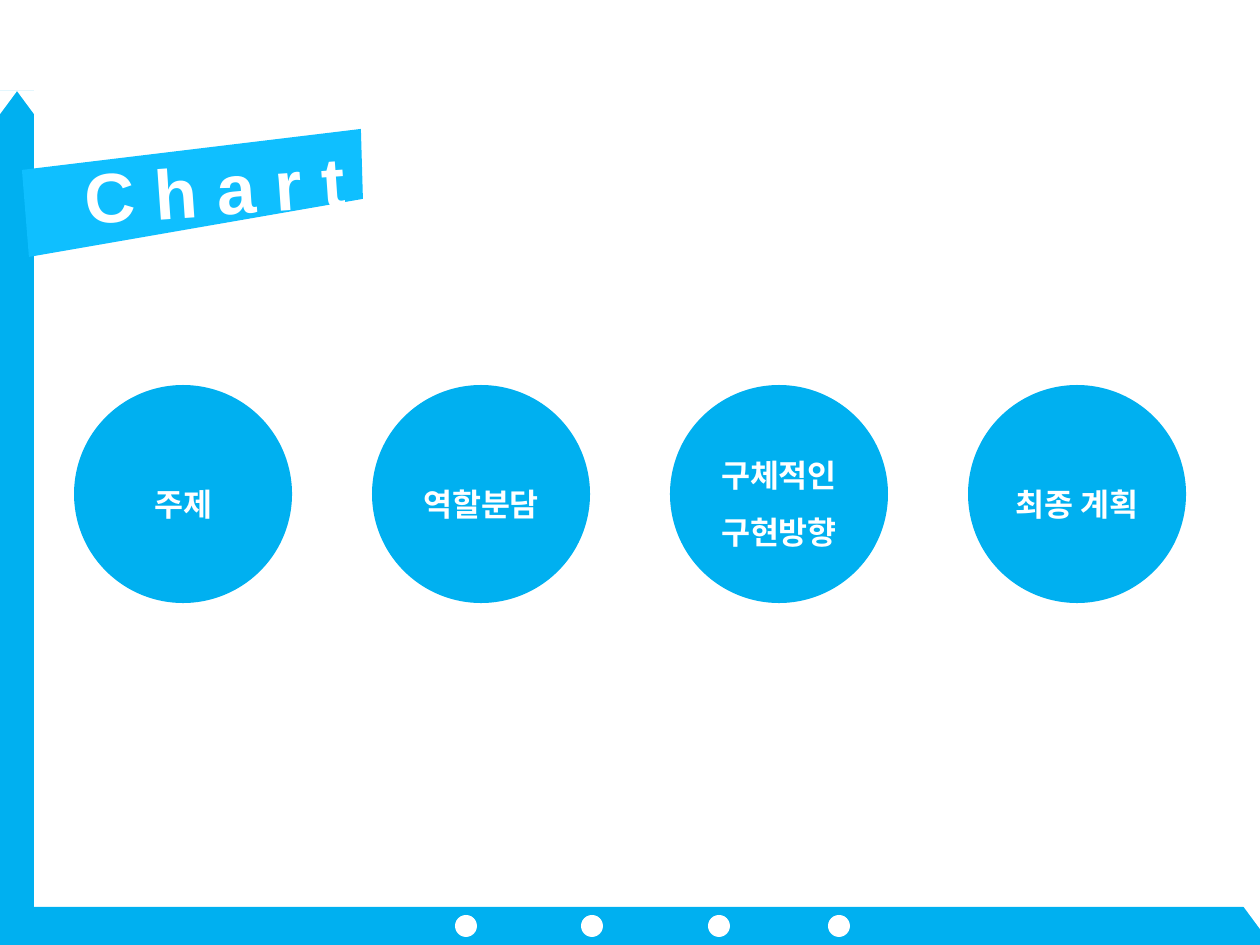
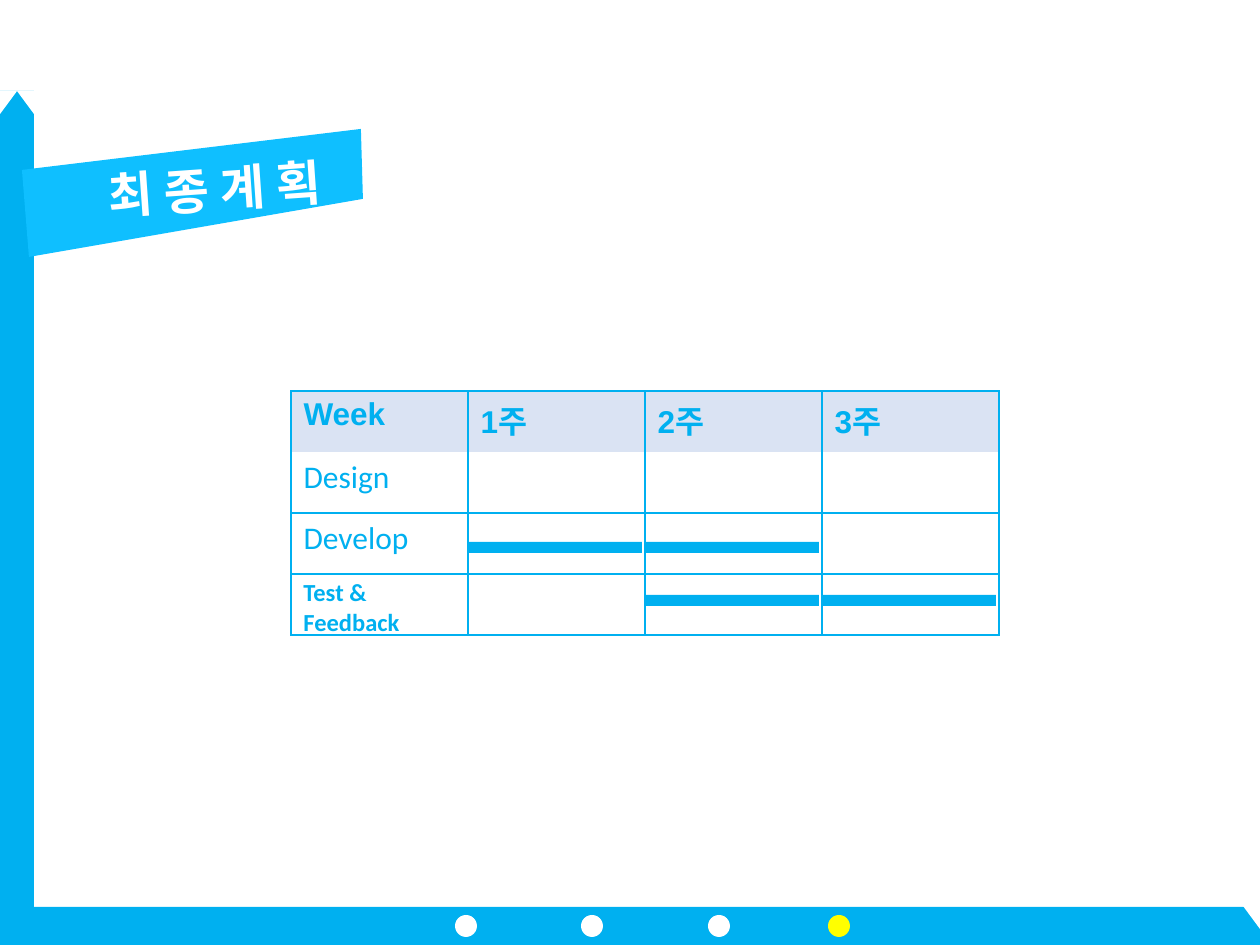
from collections import namedtuple
from dataclasses import dataclass

from pptx import Presentation
from pptx import util as u
from pptx.dml.color import RGBColor
from pptx.enum import shapes, text
from pptx.oxml import parse_xml
from pptx.oxml.ns import nsdecls

Box = namedtuple("Box", "x y w h")
KIND = shapes.MSO_SHAPE


@dataclass(frozen=True)
class Theme:
    blue: str = "00B0F0"
    flag: str = "0FBFFF"
    pale: str = "DAE3F3"
    white: str = "FFFFFF"
    mark: str = "FFFF00"
    head: str = "Arial"
    body: str = "Calibri"
    title: int = 40
    korean: int = 28
    label: int = 18
    small: int = 14


T = Theme()
PAGE = Box(0, 0, 1260, 945)
SIDE = Box(0, 91, 34, 854)
FOOT = Box(0, 907, 1260, 38)
FLAG = Box(22, 129, 341, 128)
STEPS = Box(74, 385, 1112, 218)
PLAN = Box(291, 391, 708, 244)


def px(n):
    return u.Emu(round(n * 914400 / 126))


def paint(shape, color):
    shape.shadow.inherit = False
    shape.fill.solid()
    shape.fill.fore_color.rgb = RGBColor.from_string(color)
    shape.line.fill.background()
    return shape


def draw(slide, kind, box, color):
    return paint(slide.shapes.add_shape(kind, *map(px, box)), color)


def write(par, words, size, color, face=T.head, bold=True):
    run = par.add_run()
    run.text = words
    font = run.font
    font.name, font.size, font.bold = face, u.Pt(size), bold
    font.color.rgb = RGBColor.from_string(color)


def notch(slide, x, y, flip=False):
    """Cut a bar's top corner with a white triangle."""
    cut = draw(slide, KIND.RIGHT_TRIANGLE, Box(x, y, 17, 23), T.white)
    cut.rotation = 180
    if flip:
        cut._element.spPr.xfrm.set("flipH", "1")


def frame(slide):
    draw(slide, KIND.RECTANGLE, SIDE, T.blue)
    notch(slide, SIDE.x + SIDE.w - 17, SIDE.y)
    notch(slide, SIDE.x, SIDE.y, flip=True)
    draw(slide, KIND.RECTANGLE, FOOT, T.blue)
    notch(slide, FOOT.x + FOOT.w - 17, FOOT.y - 1)


def banner(slide, box, words, size):
    """Slanted flag with a tilted title."""
    x, y, w, h = box
    pen = slide.shapes.build_freeform(x, y + 41, scale=px(1))
    pen.add_line_segments([(x + w - 2, y), (x + w, y + 70), (x + 7, y + h)])
    paint(pen.convert_to_shape(), T.flag)
    area = Box(x + 22, y + 20, w, 78)
    label = slide.shapes.add_textbox(*map(px, area))
    label.rotation = -4
    body = label.text_frame
    body.word_wrap = True
    body.vertical_anchor = text.MSO_ANCHOR.MIDDLE
    par = body.paragraphs[0]
    par.alignment = text.PP_ALIGN.CENTER
    write(par, words, size, T.white)


def dots(slide, box, active=None):
    for i, x in enumerate((455, 581, 708, 828)):
        color = T.mark if i == active else T.white
        draw(slide, KIND.OVAL, Box(box.x + x, box.y + 8, 22, 22), color)


def steps(slide, box, names):
    pitch = (box.w - box.h) // (len(names) - 1)
    for i, name in enumerate(names):
        area = Box(box.x + i * pitch, box.y, box.h, box.h)
        disc = draw(slide, KIND.OVAL, area, T.blue)
        body = disc.text_frame
        body.word_wrap = True
        body.vertical_anchor = text.MSO_ANCHOR.MIDDLE
        par = body.paragraphs[0]
        par.alignment = text.PP_ALIGN.CENTER
        par.line_spacing = 1.5
        write(par, name, T.label, T.white)


def border(cell, sides):
    """Rule the given sides in blue, leaving the others bare."""
    props = cell._tc.get_or_add_tcPr()
    for i, side in enumerate("LRTB"):
        ink = (f'<a:solidFill><a:srgbClr val="{T.blue}"/></a:solidFill>'
               if side in sides else "<a:noFill/>")
        props.insert(i, parse_xml(
            f'<a:ln{side} {nsdecls("a")} w="12700">{ink}</a:ln{side}>'))


def plan(slide, box, rows, spans, note):
    """Schedule table with its bars and the last row's two-line label."""
    count = len(rows[0])
    wide, high = box.w // count, box.h // len(rows)
    grid = slide.shapes.add_table(len(rows), count, *map(px, box)).table
    for col in grid.columns:
        col.width = px(wide)
    edges = ("LRT", "LRB", "LRTB", "LRTB")
    for r, row in enumerate(rows):
        grid.rows[r].height = px(high)
        for c, words in enumerate(row):
            cell = grid.cell(r, c)
            if r == 0:
                cell.fill.solid()
                cell.fill.fore_color.rgb = RGBColor.from_string(T.pale)
            else:
                cell.fill.background()
            border(cell, edges[r])
            if words:
                face = T.body if r else T.head
                write(cell.text_frame.paragraphs[0], words, T.label,
                      T.blue, face, bold=r == 0)
    for col, y in spans:
        bar = Box(box.x + col * wide, box.y + y, wide - 3, 11)
        draw(slide, KIND.RECTANGLE, bar, T.blue)
    area = Box(box.x, box.y + 180, 122, 72)
    body = slide.shapes.add_textbox(*map(px, area)).text_frame
    body.word_wrap = False
    for i, line in enumerate(note):
        par = body.add_paragraph() if i else body.paragraphs[0]
        write(par, line, T.small, T.blue, T.body)


def page(deck, title, size, active=None):
    slide = deck.slides.add_slide(deck.slide_layouts[6])
    frame(slide)
    banner(slide, FLAG, title, size)
    dots(slide, FOOT, active)
    return slide


def main():
    deck = Presentation()
    deck.slide_width, deck.slide_height = px(PAGE.w), px(PAGE.h)

    chart = page(deck, "C h a r t", T.title)
    steps(chart, STEPS, ("주제", "역할분담", "구체적인 구현방향", "최종 계획"))

    final = page(deck, "최 종 계 획", T.korean, active=3)
    rows = (("Week", "1주", "2주", "3주"),
            ("Design", "", "", ""),
            ("Develop", "", "", ""),
            ("", "", "", ""))
    spans = ((1, 151), (2, 151), (2, 204), (3, 204))
    plan(final, PLAN, rows, spans, ("Test &", "Feedback"))

    deck.save("out.pptx")


if __name__ == "__main__":
    main()
